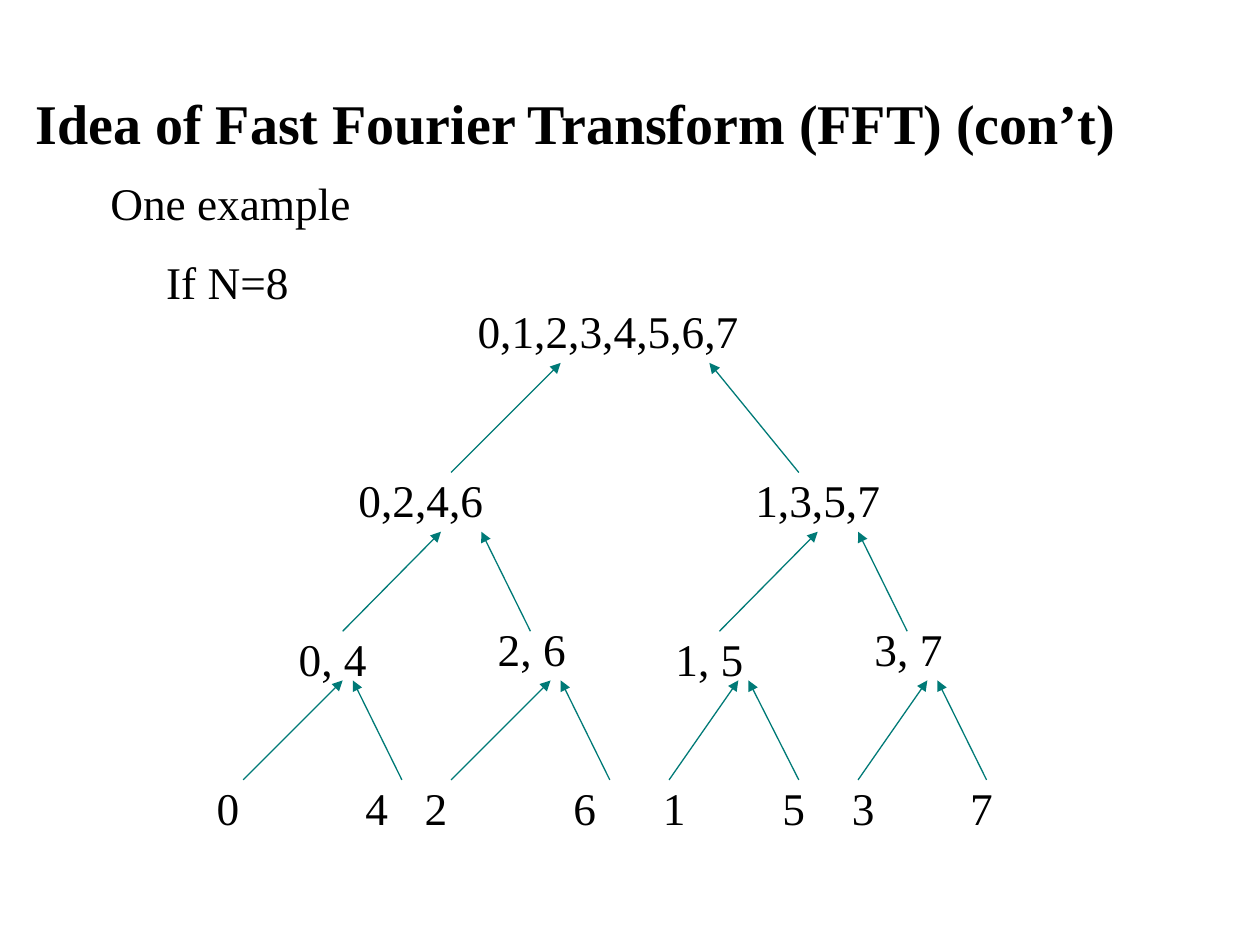
from dataclasses import dataclass

from lxml import etree
from pptx import Presentation
from pptx.dml.color import RGBColor
from pptx.enum.shapes import MSO_CONNECTOR
from pptx.enum.text import PP_ALIGN
from pptx.oxml.ns import qn
from pptx.util import Inches, Pt


@dataclass
class Theme:
    font: str = "Times New Roman"
    ink: RGBColor = RGBColor(0, 0, 0)
    arrow: RGBColor = RGBColor(0x00, 0x7A, 0x77)
    title: float = 32
    body: float = 25.9
    line: float = 0.75


theme = Theme()
prs = Presentation()
prs.slide_width, prs.slide_height = Inches(10), Inches(7.5)
s = prs.slides.add_slide(prs.slide_layouts[6])


def add_text(text, x, y, w, h=0.47, size=theme.body, bold=False, top=0):
    tf = s.shapes.add_textbox(Inches(x), Inches(y), Inches(w), Inches(h)).text_frame
    tf.word_wrap = True
    tf.margin_top = Inches(top)
    p = tf.paragraphs[0]
    p.text = text
    p.alignment = PP_ALIGN.CENTER
    font = p.runs[0].font
    font.name, font.size, font.bold = theme.font, Pt(size), bold
    font.color.rgb = theme.ink


def add_arrow(x1, y1, x2, y2):
    c = s.shapes.add_connector(
        MSO_CONNECTOR.STRAIGHT, Inches(x1), Inches(y1), Inches(x2), Inches(y2))
    c.line.color.rgb = theme.arrow
    c.line.width = Pt(theme.line)
    etree.SubElement(c.line._get_or_add_ln(), qn("a:tailEnd"), type="triangle")
    etree.SubElement(c._element.spPr, qn("a:effectLst"))


# Title and introduction
add_text("Idea of Fast Fourier Transform (FFT) (con’t)", 0, 0.6, 9.14, 0.79,
         size=theme.title, bold=True, top=0.1)
add_text("One example", 0, 1.39, 3.66)
add_text("If N=8", 0.27, 2.02, 3.07)

# Root with its two branches
add_text("0,1,2,3,4,5,6,7", 3.13, 2.41, 3.39)
add_arrow(3.58, 3.75, 4.45, 2.88)
add_arrow(6.34, 3.75, 5.63, 2.88)

# Even and odd halves, each split into two pairs
halves = [
    ("0,2,4,6", 2.16, "0, 4", "2, 6", 0),
    ("1,3,5,7", 5.31, "1, 5", "3, 7", 2.99),
]
for half, x, left, right, dx in halves:
    add_text(half, x, 3.75, 2.36)
    add_text(left, 1.85 + dx, 5.01, 1.58)
    add_text(right, 3.43 + dx, 4.93, 1.58)
    add_arrow(2.72 + dx, 5.01, 3.5 + dx, 4.22)
    add_arrow(4.21 + dx, 5.01, 3.82 + dx, 4.22)

# Single samples: label, text left, arrow start, arrow end
leaves = [
    ("0", 1.3, 1.93, 2.72), ("4", 2.48, 3.19, 2.8),
    ("2", 2.95, 3.58, 4.37), ("6", 4.13, 4.84, 4.45),
    ("1", 4.84, 5.31, 5.86), ("5", 5.79, 6.34, 5.94),
    ("3", 6.34, 6.81, 7.36), ("7", 7.28, 7.83, 7.44),
]
for label, x, start, end in leaves:
    add_text(label, x, 6.19, 1.02)
    add_arrow(start, 6.19, end, 5.4)

prs.save("out.pptx")
